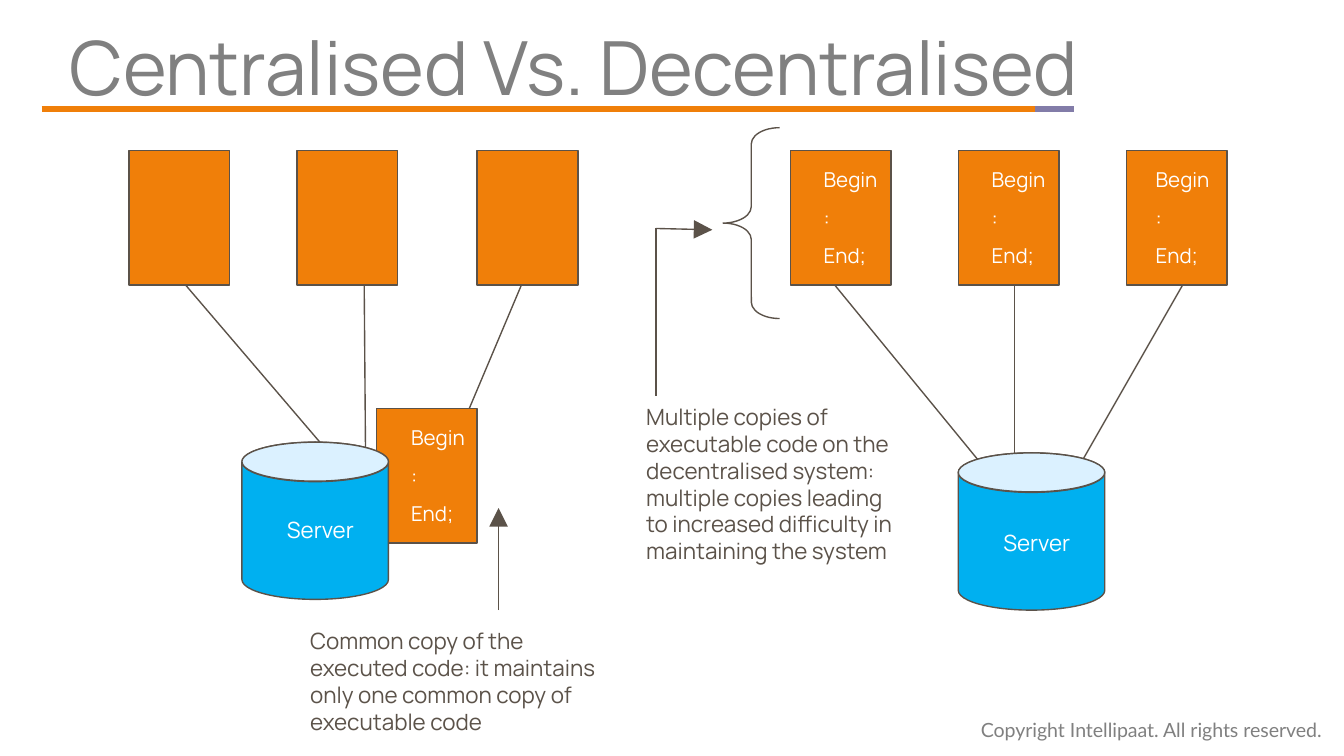
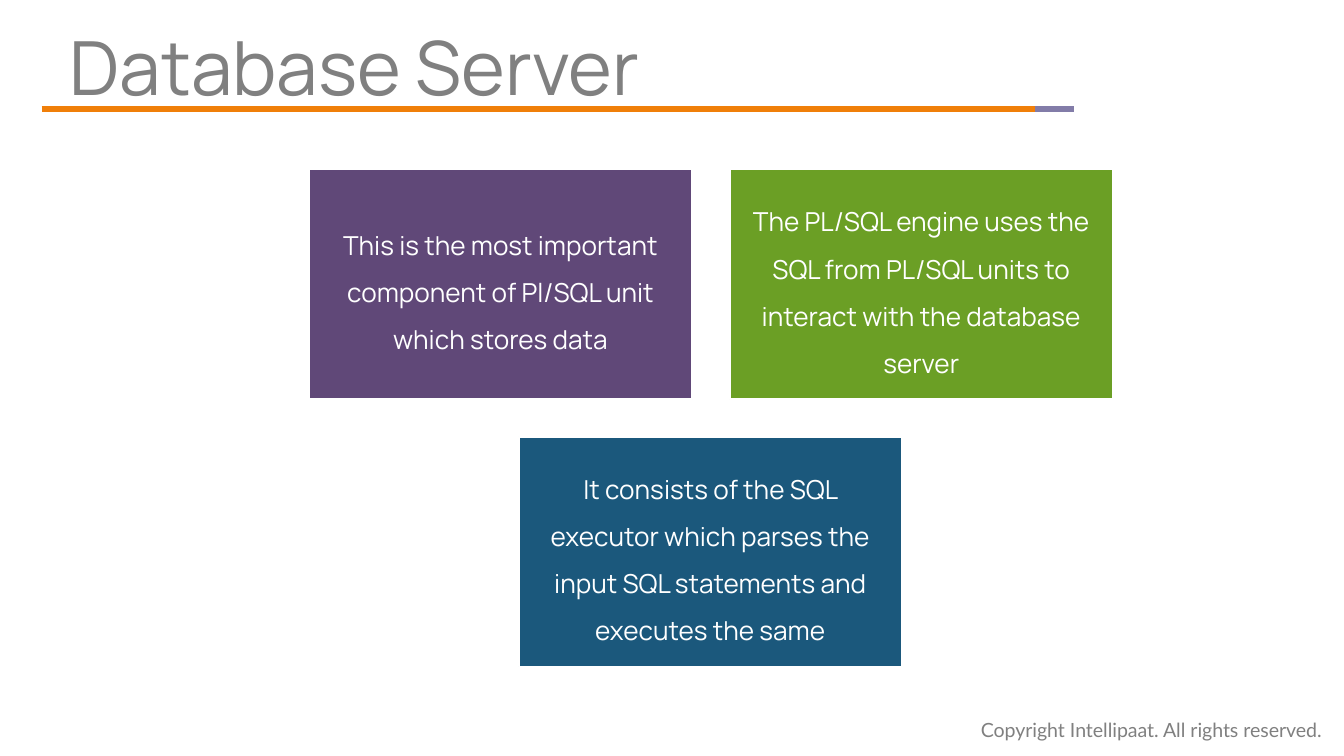
import pptx
import pptx.util
import pptx.dml.color
import pptx.enum.shapes
import pptx.enum.text
import pptx.oxml.ns
from lxml import etree

Inches = pptx.util.Inches
Pt = pptx.util.Pt
SHAPE = pptx.enum.shapes.MSO_SHAPE
ALIGN = pptx.enum.text.PP_ALIGN
ANCHOR = pptx.enum.text.MSO_ANCHOR
AUTO = pptx.enum.text.MSO_AUTO_SIZE
qn = pptx.oxml.ns.qn

COLORS = {
    "orange": "F07F09", "lilac": "827CA8", "gray": "808080", "ink": "5B5249",
    "white": "FFFFFF", "blue": "00B0F0", "lid": "DBF1FF",
    "purple": "604878", "green": "6B9F25", "navy": "1B587C",
}
FONT = "Manrope"
BOX_W, BOX_H = 0.75, 1
BOX_TOP = 1.12
BOX_BOTTOM = BOX_TOP + BOX_H
CODE = "Begin\n:\nEnd;"


def rgb(name):
    return pptx.dml.color.RGBColor.from_string(COLORS[name])


def write(tf, text, size, color, font=FONT, align=None, spacing=None, before=0):
    tf.text = text
    for i, p in enumerate(tf.paragraphs):
        p.alignment = align
        if spacing:
            p.line_spacing = spacing
        if before and i:
            p.space_before = Pt(before)
        for r in p.runs:
            r.font.size = Pt(size)
            r.font.name = font
            r.font.color.rgb = rgb(color)


def add_text(s, x, y, w, h, text, size, color, wrap=True, grow=True, **style):
    tf = s.shapes.add_textbox(Inches(x), Inches(y), Inches(w), Inches(h)).text_frame
    tf.word_wrap = wrap
    tf.auto_size = AUTO.SHAPE_TO_FIT_TEXT if grow else AUTO.NONE
    write(tf, text, size, color, **style)
    return tf


def add_line(s, x1, y1, x2, y2, color="ink", width=0.75, arrow=False):
    c = s.shapes.add_connector(pptx.enum.shapes.MSO_CONNECTOR.STRAIGHT,
                               Inches(x1), Inches(y1), Inches(x2), Inches(y2))
    c.line.color.rgb = rgb(color)
    c.line.width = Pt(width)
    if arrow:
        ln = c._element.spPr.find(qn("a:ln"))
        etree.SubElement(ln, qn("a:tailEnd"), type="triangle", w="lg", len="lg")
    etree.SubElement(c._element.spPr, qn("a:effectLst"))


def add_shape(s, kind, x, y, w, h, fill=None, line="ink", width=0.75, adj=()):
    sp = s.shapes.add_shape(kind, Inches(x), Inches(y), Inches(w), Inches(h))
    sp.shadow.inherit = False
    for i, value in enumerate(adj):
        sp.adjustments[i] = value
    if fill:
        sp.fill.solid()
        sp.fill.fore_color.rgb = rgb(fill)
    else:
        sp.fill.background()
    sp.line.color.rgb = rgb(line)
    sp.line.width = Pt(width)
    return sp


def add_box(s, x, y=BOX_TOP):
    add_shape(s, SHAPE.ROUNDED_RECTANGLE, x, y, BOX_W, BOX_H, "orange", adj=[0])


def add_code(s, x, y=1.19):
    add_text(s, x, y, 0.75, 0.86, CODE, 11, "white", before=7.2)


def add_server(s, x, y, label_y):
    add_shape(s, SHAPE.CAN, x, y, 1.09, 1.17, "blue", adj=[0.27])
    add_shape(s, SHAPE.OVAL, x, y, 1.09, 0.29, "lid")
    add_text(s, x + 0.17, label_y, 0.83, 0.31, "Server", 12, "white", align=ALIGN.CENTER)


def add_card(s, x, y, fill, text):
    sp = add_shape(s, SHAPE.RECTANGLE, x, y, 2.85, 1.71, fill, "white", 1)
    tf = sp.text_frame
    tf.word_wrap = True
    tf.vertical_anchor = ANCHOR.MIDDLE
    tf.margin_left = tf.margin_right = tf.margin_top = tf.margin_bottom = Inches(0.06)
    write(tf, text, 14, "white", align=ALIGN.CENTER, spacing=1.5)


def add_slide(prs, title):
    s = prs.slides.add_slide(prs.slide_layouts[6])
    add_text(s, 7.2, 5.29, 2.83, 0.28, "Copyright Intellipaat. All rights reserved.",
             10.5, "gray", wrap=False, font="Lato")
    tf = add_text(s, 0.52, 0.18, 7.61, 0.63, title, 40, "gray", grow=False, spacing=0.9)
    tf.margin_left = 0
    add_line(s, 0.31, 0.81, 7.7, 0.81, "orange", 3)
    add_line(s, 7.7, 0.81, 7.99, 0.81, "lilac", 3)
    return s


def add_centralised(s):
    add_text(s, 2.21, 4.62, 2.33, 0.91,
             "Common copy of the executed code: it maintains only one common copy "
             "of executable code", 12, "ink")
    add_line(s, 3.71, 4.54, 3.71, 3.78, arrow=True)
    for x1, x2, y2 in ((1.38, 2.38, 3.29), (2.71, 2.72, 3.37), (3.88, 3.42, 3.21)):
        add_line(s, x1, BOX_BOTTOM, x2, y2)
    add_box(s, 2.8, 3.04)
    for x in (0.96, 2.21, 3.55):
        add_box(s, x)
    add_code(s, 2.96, 3.11)
    add_server(s, 1.8, 3.29, 3.79)


def add_decentralised(s):
    add_text(s, 4.71, 2.95, 2.08, 1.31,
             "Multiple copies of executable code on the decentralised system: multiple "
             "copies leading to increased difficulty in maintaining the system", 12, "ink")
    add_shape(s, SHAPE.LEFT_BRACE, 5.38, 0.95, 0.42, 1.42, adj=[0.29, 0.5])
    add_line(s, 4.88, 1.7, 4.88, 2.95)
    add_line(s, 4.88, 1.7, 5.3, 1.71, arrow=True)
    for x1, x2, y2 in ((6.21, 7.3, 3.45), (7.55, 7.55, 3.37), (8.8, 8.04, 3.45)):
        add_line(s, x1, BOX_BOTTOM, x2, y2)
    for x, code_x in ((5.88, 6.03), (7.13, 7.28), (8.38, 8.5)):
        add_box(s, x)
        add_code(s, code_x)
    add_server(s, 7.13, 3.37, 3.89)


def main():
    prs = pptx.Presentation()
    prs.slide_width = Inches(10)
    prs.slide_height = prs.slide_width * 9 // 16

    s = add_slide(prs, "Centralised Vs. Decentralised")
    add_centralised(s)
    add_decentralised(s)

    s = add_slide(prs, "Database Server")
    add_card(s, 2.3, 1.26, "purple",
             "This is the most important component of Pl/SQL unit which stores data")
    add_card(s, 5.43, 1.26, "green",
             "The PL/SQL engine uses the SQL from PL/SQL units to interact with "
             "the database server")
    add_card(s, 3.86, 3.25, "navy",
             "It consists of the SQL executor which parses the input SQL statements "
             "and executes the same")

    prs.save("out.pptx")


if __name__ == "__main__":
    main()
